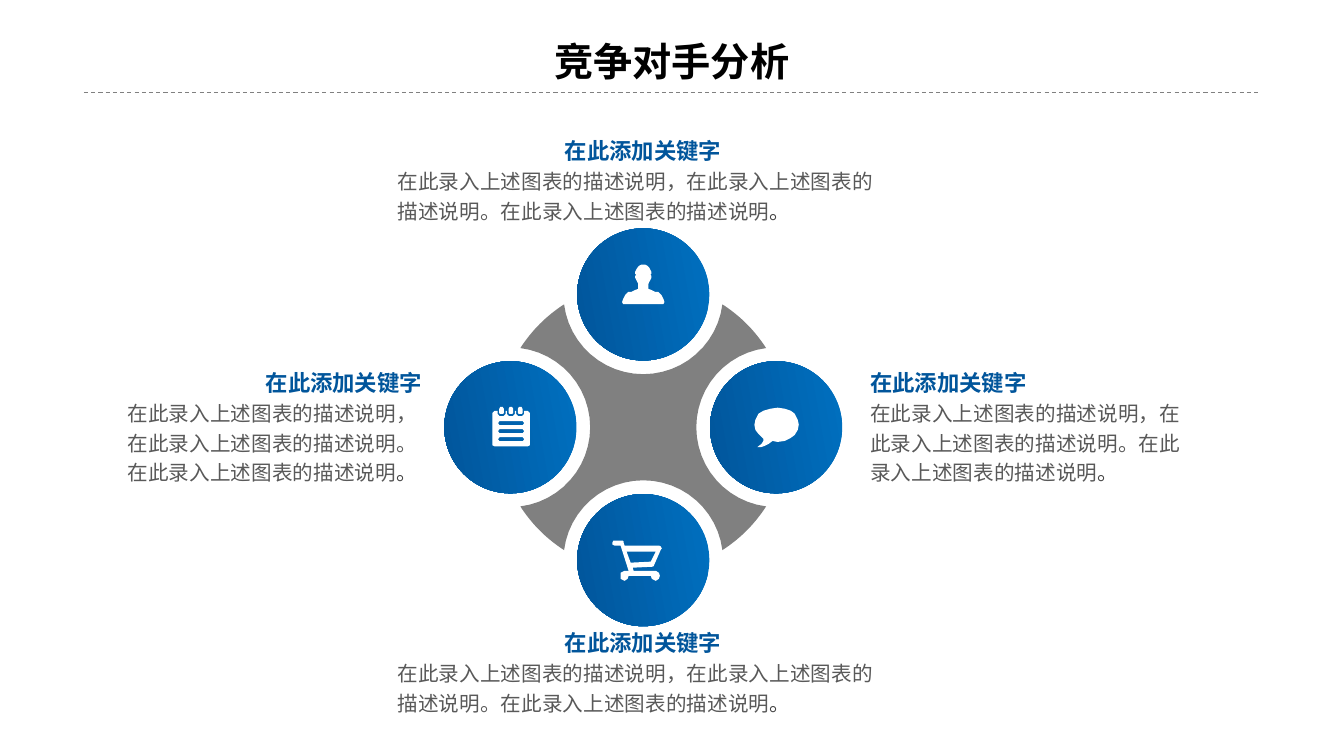
from math import acos, cos, degrees, radians, sin

from lxml import etree
from pptx import Presentation, util as u
from pptx.dml.color import RGBColor
from pptx.enum import dml, shapes, text
from pptx.oxml.ns import qn

Pt = u.Pt
FONT = "Noto Sans CJK SC"
COLORS = {"title": "000000", "rule": "808080", "hub": "808080", "light": "0070C0",
          "dark": "01559B", "icon": "FFFFFF", "body": "595959", "stop": "404040"}
TITLE = "竞争对手分析"
KEYWORD = "在此添加关键字"
BODY = "在此录入上述图表的描述说明，在此录入上述图表的描述说明。在此录入上述图表的描述说明"
STOP = "。"

CENTER = (459.5, 305.2)
ORBIT, HUB_R, NOTCH_R, NODE_R = 94.9, 104.4, 57, 47.2
ICON_UNIT = 0.72

BUBBLE = [[(23, 0), (30, 1), (36, 3), (40, 6), (43, 12), (44, 17), (43, 22), (40, 27),
           (36, 30), (30, 33), (23, 34), (18, 33), (14, 36), (10, 38), (7, 39), (3, 39),
           (7, 36), (9, 33), (9, 31), (8, 30), (4, 26), (1, 22), (0, 17), (1, 12),
           (4, 6), (9, 3), (16, 1)]]

PERSON_HALF = [(0, 0), (2, 0), (4, 1), (6, 3), (7, 5), (8, 7), (8, 9), (7, 10), (8, 11),
               (8, 13), (7, 15), (6, 17), (5, 19), (5, 24), (8, 25), (12, 27), (15, 27),
               (18, 30), (20, 34), (21, 37), (20, 39), (19, 39)]
PERSON = [PERSON_HALF + [(-x, y) for x, y in PERSON_HALF[:0:-1]]]

CART = [[(14, 11), (18, 22), (38, 21), (43, 11)],
        [(2, 0), (9, 0), (10, 0), (11, 1), (11, 2), (12, 5), (46, 5), (48, 6), (49, 8),
         (48, 9), (41, 25), (40, 26), (20, 27), (21, 30), (43, 30), (46, 32), (47, 35),
         (46, 38), (43, 40), (39, 38), (38, 35), (16, 35), (15, 38), (12, 40), (8, 38),
         (8, 35), (8, 32), (12, 30), (16, 30), (8, 5), (2, 5), (0, 4), (0, 2), (1, 0)]]

RINGS = [9, 18.3, 27.5]
RING = [(-1.3, 0), (1.3, 0), (2.3, 2), (2.3, 6), (1.3, 7), (-1.3, 7), (-2.3, 6), (-2.3, 2)]
NOTCH = [(-4, 4), (-4, 7), (-2, 9), (2, 9), (4, 7), (4, 4)]
BAR = [(7, 0), (30, 0), (31.5, 2), (30, 4), (7, 4), (5.5, 2)]
PAGE = ([(2, 4)] + [(c + x, y) for c in RINGS for x, y in NOTCH]
        + [(35, 4), (37, 6), (37, 38), (35, 39), (2, 39), (0, 38), (0, 6)])
NOTEPAD = ([PAGE] + [[(x, y + top) for x, y in BAR] for top in (14, 22, 30)]
           + [[(c + x, y) for x, y in RING] for c in RINGS])

ALIGN = text.PP_ALIGN
NODES = [
    ((1, 0), BUBBLE, (-15.5, -14), (612, 258.5, 248.4, 92.9), ALIGN.LEFT),
    ((-1, 0), NOTEPAD, (-12.8, -14.5), (81.4, 258.5, 229.7, 92.9), ALIGN.RIGHT),
    ((0, 1), CART, (-22, -14), (274.3, 444.2, 370.1, 72), ALIGN.CENTER),
    ((0, -1), PERSON, (0, -21.2), (274.3, 92.9, 370.1, 72), ALIGN.CENTER),
]


def rgb(name):
    return RGBColor.from_string(COLORS[name])


def style(r, size, color, bold):
    r.font.name, r.font.size, r.font.bold = FONT, Pt(size), bold
    r.font.color.rgb = rgb(color)
    etree.SubElement(r.font._element, qn("a:ea"), typeface=FONT)


def outline(parent, contours, x, y, unit, color):
    k = unit * 100
    fb = None
    for contour in contours:
        (x0, y0), *rest = [(px * k, py * k) for px, py in contour]
        if fb is None:
            fb = parent.build_freeform(x0, y0, scale=Pt(0.01))
        else:
            fb.move_to(x0, y0)
        fb.add_line_segments(rest, close=True)
    sp = fb.convert_to_shape(Pt(x), Pt(y))
    sp.shadow.inherit = False
    sp.fill.solid()
    sp.fill.fore_color.rgb = rgb(color)
    sp.line.fill.background()


def arc(cx, cy, radius, start, end, steps=24):
    angles = [radians(start + (end - start) * i / steps) for i in range(steps + 1)]
    return [(cx + radius * cos(a), cy + radius * sin(a)) for a in angles]


def hub():
    half = degrees(acos((HUB_R**2 + ORBIT**2 - NOTCH_R**2) / (2 * HUB_R * ORBIT)))
    side = degrees(acos((HUB_R * cos(radians(half)) - ORBIT) / NOTCH_R))
    points = []
    for turn in range(0, 360, 90):
        cx, cy = ORBIT * cos(radians(turn)), ORBIT * sin(radians(turn))
        points += arc(cx, cy, NOTCH_R, turn + 360 - side, turn + side)
        points += arc(0, 0, HUB_R, turn + half, turn + 90 - half)
    return points


def node(s, direction, icon, offset):
    x, y = (c + ORBIT * d for c, d in zip(CENTER, direction))
    g = s.shapes.add_group_shape().shapes
    sp = g.add_shape(shapes.MSO_SHAPE.OVAL, Pt(x - NODE_R), Pt(y - NODE_R),
                     Pt(2 * NODE_R), Pt(2 * NODE_R))
    sp.shadow.inherit = False
    sp.line.fill.background()
    sp.fill.gradient()
    sp.fill.gradient_angle = 190
    for stop, color in zip(sp.fill.gradient_stops, ("light", "dark")):
        stop.color.rgb = rgb(color)
    outline(g, icon, x + offset[0], y + offset[1], ICON_UNIT, "icon")


def caption(s, box, align):
    tf = s.shapes.add_textbox(*map(Pt, box)).text_frame
    tf.word_wrap = True
    tf.auto_size = text.MSO_AUTO_SIZE.SHAPE_TO_FIT_TEXT
    tf.vertical_anchor = text.MSO_ANCHOR.MIDDLE
    tf.margin_left = tf.margin_right = Pt(9.6)
    tf.margin_top = tf.margin_bottom = Pt(4.8)
    tf.text = KEYWORD
    tf.paragraphs[0].alignment = align
    style(tf.paragraphs[0].runs[0], 16, "dark", True)
    p = tf.add_paragraph()
    p.text = BODY
    p.line_spacing = 1.2
    p.add_run().text = STOP
    for r, color in zip(p.runs, ("body", "stop")):
        style(r, 14.7, color, False)


def main():
    prs = Presentation()
    prs.slide_width, prs.slide_height = Pt(960), Pt(540)
    s = prs.slides.add_slide(prs.slide_layouts[5])

    title = s.shapes.title
    title.left, title.top, title.width, title.height = map(Pt, (281.5, 23, 396.7, 41))
    tf = title.text_frame
    tf.text = TITLE
    tf.auto_size = text.MSO_AUTO_SIZE.TEXT_TO_FIT_SHAPE
    tf.vertical_anchor = text.MSO_ANCHOR.MIDDLE
    tf.paragraphs[0].alignment = ALIGN.CENTER
    style(tf.paragraphs[0].runs[0], 28, "title", True)

    rule = s.shapes.add_connector(shapes.MSO_CONNECTOR.STRAIGHT,
                                  Pt(60), Pt(66.2), Pt(900.7), Pt(66.2))
    rule.line.color.rgb = rgb("rule")
    rule.line.width = Pt(0.75)
    rule.line.dash_style = dml.MSO_LINE.DASH
    etree.SubElement(rule._element.spPr, qn("a:effectLst"))

    outline(s.shapes, [hub()], *CENTER, 1, "hub")
    for direction, icon, offset, box, align in NODES:
        node(s, direction, icon, offset)
        caption(s, box, align)
    prs.save("out.pptx")


if __name__ == "__main__":
    main()
